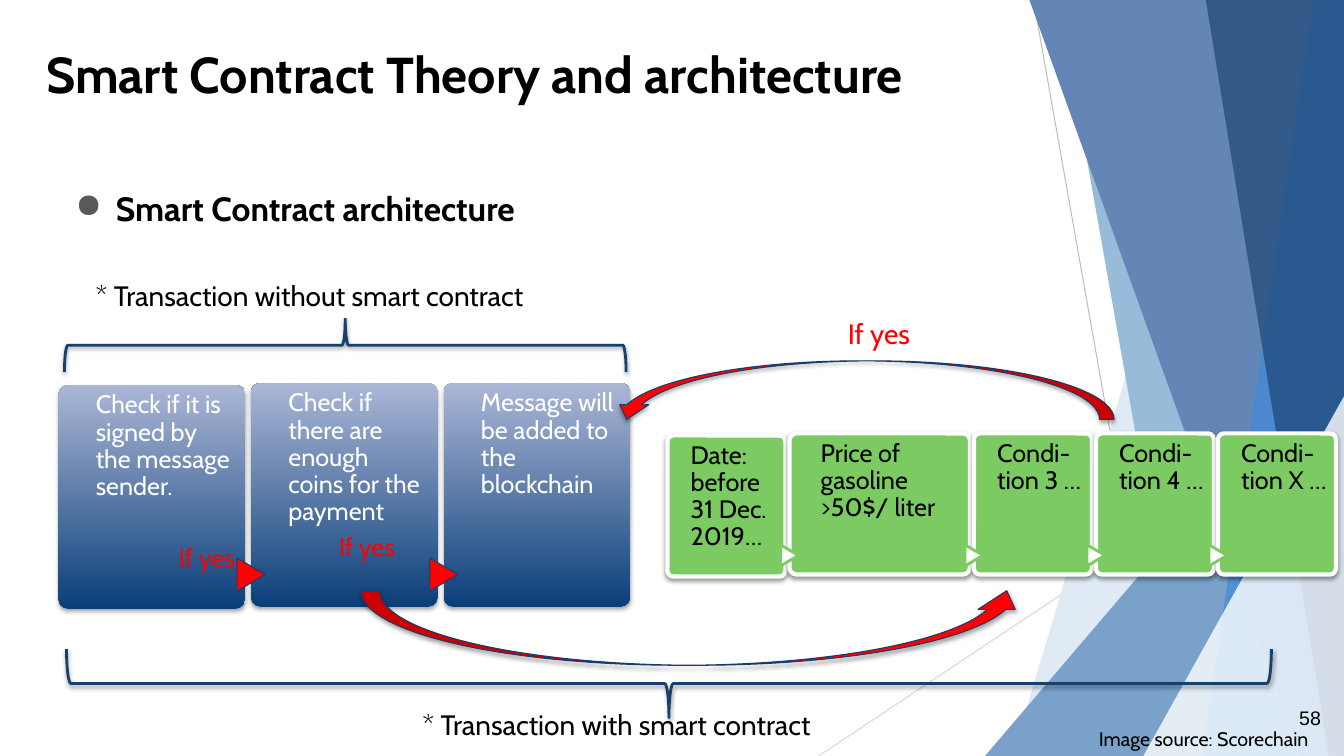
"""Build the slide on smart contract architecture."""
from dataclasses import dataclass

from lxml.etree import SubElement
from pptx import Presentation
from pptx.dml.color import RGBColor
from pptx.enum.shapes import MSO_CONNECTOR, MSO_SHAPE as Shape
from pptx.enum.text import PP_ALIGN as Align
from pptx.oxml.ns import qn
from pptx.util import Inches, Pt


@dataclass(frozen=True)
class Theme:
    font: str = "Cabin"
    number_font: str = "Arial"
    title: int = 36
    heading: int = 24
    label: int = 20
    card: int = 18
    small: int = 14
    black: str = "000000"
    white: str = "FFFFFF"
    red: str = "FF0000"
    navy: str = "17406D"
    arrow_edge: str = "133D6C"
    card_dark: str = "0A3F79"
    card_light: str = "ABB6D6"
    green: str = "7CCA62"
    bullet: str = "595959"


THEME = Theme()
WIDTH, HEIGHT = 13.33, 7.5

TITLE = "Smart Contract Theory and architecture"
HEADING = "Smart Contract architecture"
WITHOUT = "* Transaction without smart contract"
WITH = "* Transaction with smart contract"
IF_YES = "If yes"
SOURCE = "Image source: Scorechain"
PAGE = "58"

RAYS = [((10.25, 0), (11.58, HEIGHT), "BFBFBF"), ((WIDTH, 4.03), (8.12, HEIGHT), "D8D8D8")]
FACETS = [
    ("band", 12.28, 10.04, "DFEAF4", 100),
    ("band", 10.5, 11.83, "98BBDA", 100),
    ("triangle", 9.77, 3.33, "79A1CA", 100),
    ("band", 10.21, 12.91, "6386B6", 100),
    ("band", 13.03, 11.92, "418AD8", 69),
    ("band", 11.96, 13.18, THEME.navy, 64),
    ("triangle", 11.34, 3.93, THEME.white, 80),
]

CHECKS = dict(
    left=0.58, top=3.8, height=2.22, gap=0.06, arrow=(0.28, 0.33), arrow_y=5.7, ink=THEME.white,
    cards=[
        (1.85, 0.37, "Check if it is signed by the message sender.", (Align.RIGHT, 32, 0)),
        (1.85, 0.37, "Check if there are enough coins for the payment", (Align.LEFT, 6.3, 0.5)),
        (1.85, 0.37, "Message will be added to the blockchain", None),
    ],
)
CONDITIONS = dict(
    left=6.62, top=4.3, height=1.4, gap=0.04, arrow=(0.18, 0.21), arrow_y=5.51, ink=THEME.black,
    cards=[
        (1.17, 0.23, "Date: before 31 Dec. 2019…", None),
        (1.79, 0.31, "Price of gasoline >50$/ liter", None),
        (1.17, 0.23, "Condi-tion 3 …", None),
        (1.17, 0.23, "Condi-tion 4 …", None),
        (1.17, 0.23, "Condi-tion X …", None),
    ],
)
FIRST_DROP = 0.02
TEXT_SHARE = 0.745

deck = Presentation()
deck.slide_width, deck.slide_height = Inches(WIDTH), Inches(HEIGHT)
slide = deck.slides.add_slide(deck.slide_layouts[6])


def rgb(code):
    return RGBColor.from_string(code)


def paint(shape, fill=None, line=None, weight=0.75, alpha=100):
    shape.shadow.inherit = False
    if fill:
        shape.fill.solid()
        shape.fill.fore_color.rgb = rgb(fill)
        if alpha < 100:
            color = shape._element.spPr.find(qn("a:solidFill"))[0]
            SubElement(color, qn("a:alpha"), val=str(alpha * 1000))
    else:
        shape.fill.background()
    if line:
        shape.line.color.rgb = rgb(line)
        shape.line.width = Pt(weight)
    else:
        shape.line.fill.background()


def cast_shadow(shape, alpha, distance):
    effects = shape._element.spPr.find(qn("a:effectLst"))
    shadow = SubElement(effects, qn("a:outerShdw"), blurRad=str(Pt(3.1)), dist=str(Pt(distance)),
                        dir="5400000", rotWithShape="0")
    color = SubElement(shadow, qn("a:srgbClr"), val=THEME.black)
    SubElement(color, qn("a:alpha"), val=str(alpha * 1000))


def preset(kind, box, adjust=()):
    shape = slide.shapes.add_shape(kind, *map(Inches, box))
    for i, value in enumerate(adjust):
        shape.adjustments[i] = value
    return shape


def turned(kind, box, angle, adjust=()):
    """Place a shape that fills the box after a quarter turn."""
    x, y, w, h = box
    shape = preset(kind, (x + (w - h) / 2, y + (h - w) / 2, h, w), adjust)
    shape.rotation = angle
    return shape


def style(paragraph, size, color, bold=False, font=THEME.font):
    paragraph.font.name, paragraph.font.size = font, Pt(size)
    paragraph.font.bold, paragraph.font.color.rgb = bold, rgb(color)


def write(text, box, size, color=THEME.black, inset=(0.1, 0.05, 0.1, 0.05), bold=False, font=THEME.font):
    label = slide.shapes.add_textbox(*map(Inches, box))
    frame = label.text_frame
    frame.word_wrap = True
    frame.margin_left, frame.margin_top, frame.margin_right, frame.margin_bottom = map(Inches, inset)
    paragraph = frame.paragraphs[0]
    paragraph.text = text
    style(paragraph, size, color, bold, font)
    return label


def draw_backdrop():
    for start, end, color in RAYS:
        ray = slide.shapes.add_connector(MSO_CONNECTOR.STRAIGHT, *map(Inches, start + end))
        ray.line.color.rgb, ray.line.width = rgb(color), Pt(0.75)
        SubElement(ray._element.spPr, qn("a:effectLst"))
    for kind, a, b, color, alpha in FACETS:
        if kind == "band":
            outline = slide.shapes.build_freeform(Inches(a), 0)
            corners = [(WIDTH, 0), (WIDTH, HEIGHT), (b, HEIGHT)]
            outline.add_line_segments([(Inches(x), Inches(y)) for x, y in corners])
            facet = outline.convert_to_shape()
        else:
            facet = preset(Shape.ISOSCELES_TRIANGLE, (a, b, WIDTH - a, HEIGHT - b), [1])
        paint(facet, color, alpha=alpha)


def draw_row(row, paint_card, arrow_colors):
    x = row["left"]
    for i, (width, indent, text, answer) in enumerate(row["cards"]):
        y = row["top"] + (0 if i else FIRST_DROP)
        paint_card(preset(Shape.ROUNDED_RECTANGLE, (x, y, width, row["height"]), [0.05]))
        if i:
            w, h = row["arrow"]
            arrow = turned(Shape.FLOWCHART_EXTRACT, (x - w / 2, row["arrow_y"] - h / 2, w, h), 90)
            paint(arrow, *arrow_colors)
        body = write(text, (x + indent, y, width * TEXT_SHARE, row["height"]), THEME.card,
                     row["ink"], (0, 0.07, 0, 0)).text_frame
        if answer:
            reply = body.add_paragraph()
            reply.text = IF_YES
            reply.alignment, reply.space_before = answer[0], Pt(answer[1])
            reply._p.get_or_add_pPr().set("marL", str(Inches(answer[2])))
            style(reply, THEME.card, THEME.red)
        for paragraph in body.paragraphs:
            paragraph.line_spacing = 0.9
        x += width + row["gap"]


def paint_check(card):
    paint(card)
    card.fill.gradient()
    card.fill.gradient_angle = 90
    for stop, color in zip(card.fill.gradient_stops, (THEME.card_dark, THEME.card_light)):
        stop.color.rgb = rgb(color)
    cast_shadow(card, 35, 1.8)


def paint_condition(card):
    paint(card, THEME.green, THEME.white, 3)
    cast_shadow(card, 38, 1.6)


def draw_brace(box, flipped=False):
    brace = turned(Shape.LEFT_BRACE, box, 270, (0.063, 0.5))
    paint(brace, line=THEME.navy, weight=2)
    cast_shadow(brace, 38, 1.6)
    if flipped:
        brace._element.spPr.xfrm.set("flipH", "1")


def draw_loop(box, angle):
    loop = turned(Shape.CURVED_RIGHT_ARROW, box, angle, (0.25, 0.5, 0.25))
    paint(loop, THEME.red, THEME.arrow_edge)
    cast_shadow(loop, 35, 1.8)


def main():
    draw_backdrop()
    number = write(PAGE, (10.2, 6.95, 3, 0.4), THEME.small, font=THEME.number_font)
    number.text_frame.paragraphs[0].alignment = Align.RIGHT

    heading = slide_heading = write(HEADING, (0.55, 1.76, 9.63, 4.77), THEME.heading, inset=[0.1] * 4, bold=True)
    properties = slide_heading.text_frame.paragraphs[0]._p.get_or_add_pPr()
    properties.set("marL", str(Inches(0.5)))
    properties.set("indent", str(Inches(-0.4)))
    tint = properties.makeelement(qn("a:buClr"), {})
    SubElement(tint, qn("a:srgbClr"), val=THEME.bullet)
    properties.insert(0, tint)
    properties.insert(1, properties.makeelement(qn("a:buChar"), {"char": "●"}))
    write(TITLE, (0.36, 0.33, 10.7, 0.93), THEME.title, inset=[0.1] * 4, bold=True)

    draw_row(CHECKS, paint_check, (THEME.red, THEME.navy))
    draw_brace((0.64, 3.16, 5.57, 0.53), flipped=True)
    write(WITHOUT, (0.85, 2.71, 5.36, 0.44), THEME.label).line.color.rgb = rgb(THEME.white)
    write(WITH, (4.09, 6.97, 5.29, 0.44), THEME.label)
    draw_brace((0.66, 6.44, 11.95, 0.68))
    draw_loop((3.58, 5.86, 6.59, 0.74), 270)
    draw_row(CONDITIONS, paint_condition, (THEME.white, THEME.green, 2))
    draw_loop((6.07, 3.58, 4.98, 0.58), 90)
    write(IF_YES, (8.31, 3.09, 1.21, 0.44), THEME.label, THEME.red)
    write(SOURCE, (10.8, 7.16, 2.48, 0.34), THEME.small)
    deck.save("out.pptx")


if __name__ == "__main__":
    main()
